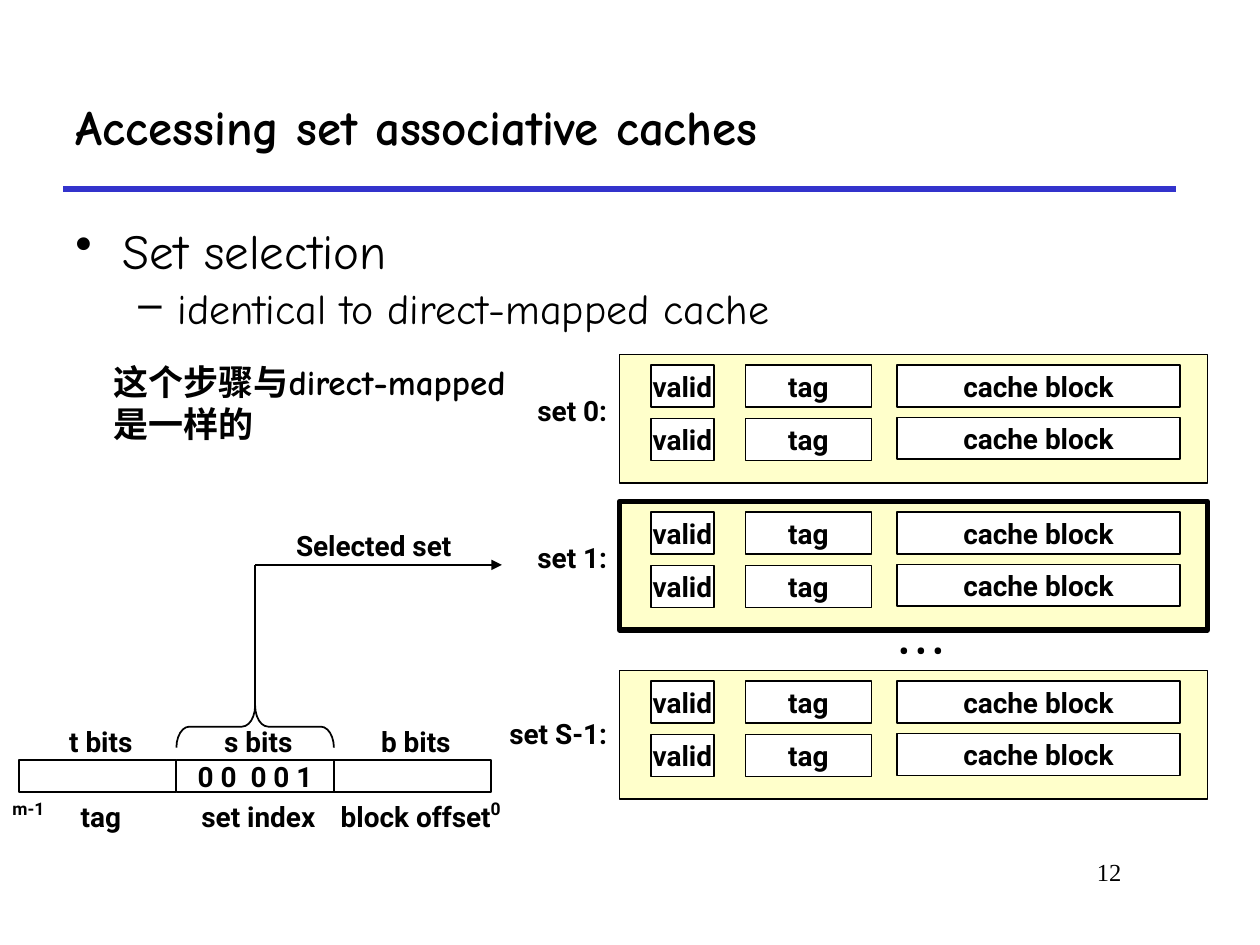
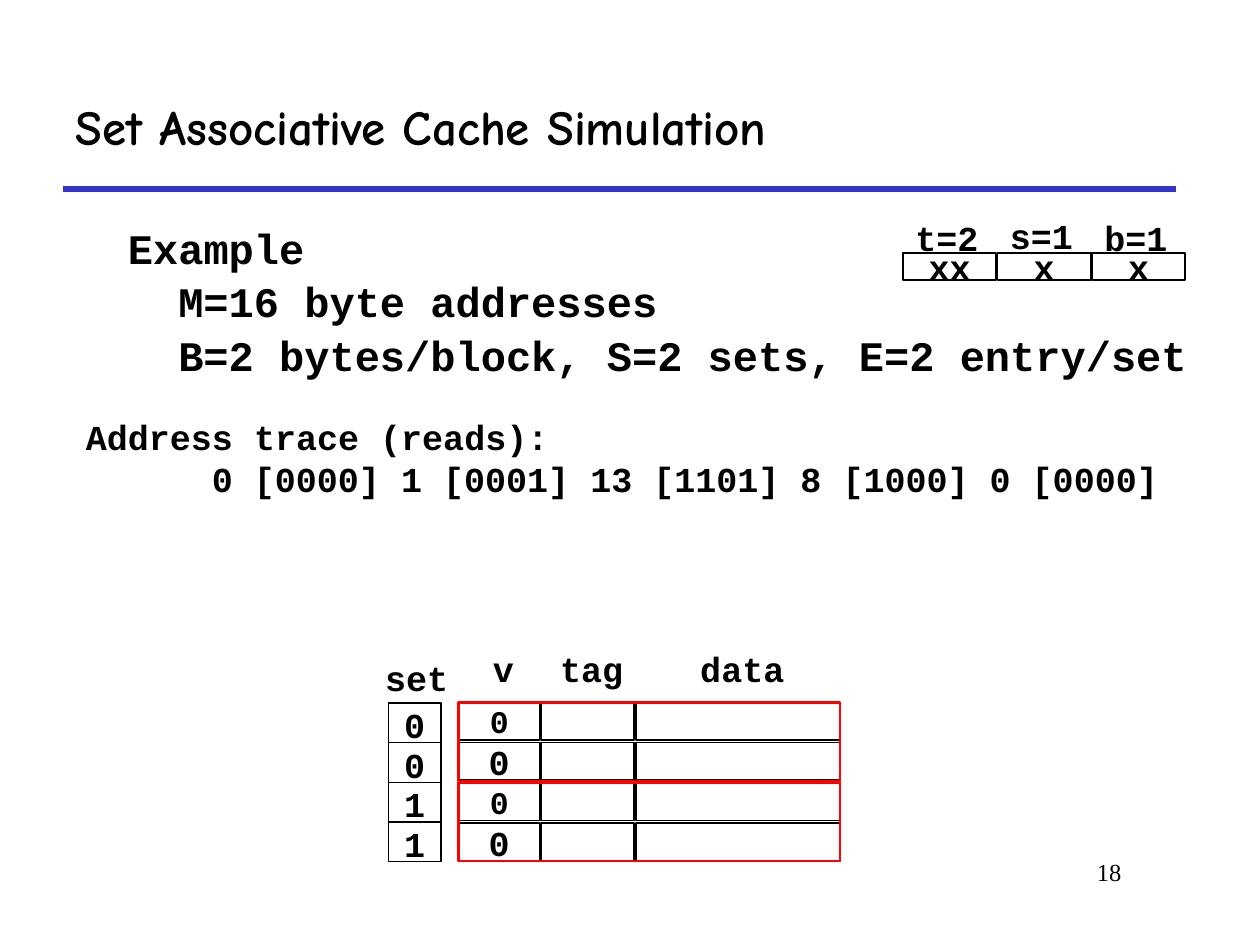
from lxml import etree
from pptx import Presentation
from pptx import util as u
from pptx.dml import color
from pptx.enum import shapes, text
from pptx.oxml import ns

COLS, ROWS = 120, 90
INK, PAPER, RULE, CREAM, RED = "000000", "FFFFFF", "3333CC", "FFFF99", "FF0000"
HAND, SANS, MONO, SERIF = "Comic Neue", "Roboto", "Courier New", "Times New Roman"
ALIGN = {"l": text.PP_ALIGN.LEFT, "c": text.PP_ALIGN.CENTER, "r": text.PP_ALIGN.RIGHT}
ANCHOR = {"t": text.MSO_ANCHOR.TOP, "m": text.MSO_ANCHOR.MIDDLE}
SHAPE = shapes.MSO_SHAPE


def rgb(code):
    """Turn a hex string into a colour."""
    return color.RGBColor.from_string(code)


def cell(n):
    """Turn grid cells (twelve to the inch) into a length."""
    return u.Inches(n / 12)


def add(parent, tag, **attrs):
    """Append a drawing element with attributes."""
    node = etree.SubElement(parent, ns.qn(tag))
    for key, val in attrs.items():
        node.set(key, str(val))
    return node


def write(shape, words, font=SANS, size=16, bold=True, align="l", anchor="t",
          wrap=False, gap=0, lead=None, indents=()):
    """Fill a shape with one paragraph per line of text."""
    frame = shape.text_frame
    frame.word_wrap = wrap
    frame.auto_size = text.MSO_AUTO_SIZE.NONE
    frame.vertical_anchor = ANCHOR[anchor]
    for i, line in enumerate(words.split("\n")):
        para = frame.paragraphs[0] if i == 0 else frame.add_paragraph()
        para.text = line
        para.alignment = ALIGN[align]
        para.space_before = u.Pt(gap if i else 0)
        if lead:
            para.line_spacing = lead
        if i < len(indents):
            para._p.get_or_add_pPr().set("marL", str(cell(indents[i])))
        para.font.name, para.font.size, para.font.bold = font, u.Pt(size), bold
        para.font.color.rgb = rgb(INK)
    return frame


def label(slide, box, words, **form):
    """Add a text box."""
    shape = slide.shapes.add_textbox(*map(cell, box))
    return write(shape, words, **form)


def block(slide, box, words="", fill=PAPER, line=INK, width=1, kind=SHAPE.RECTANGLE, **form):
    """Add a preset shape, with centred text if there is any."""
    shape = slide.shapes.add_shape(kind, *map(cell, box))
    shape.shadow.inherit = False
    if fill:
        shape.fill.solid()
        shape.fill.fore_color.rgb = rgb(fill)
    else:
        shape.fill.background()
    shape.line.color.rgb, shape.line.width = rgb(line), u.Pt(width)
    if words:
        write(shape, words, align="c", anchor="m", **form)
    return shape


def link(slide, x1, y1, x2, y2, hue=INK, width=1, head=False):
    """Add a straight line, with an arrowhead on request."""
    line = slide.shapes.add_connector(shapes.MSO_CONNECTOR.STRAIGHT, *map(cell, (x1, y1, x2, y2)))
    line.line.color.rgb, line.line.width = rgb(hue), u.Pt(width)
    if head:
        add(line.line._get_or_add_ln(), "a:tailEnd", type="triangle")
    add(line._element.spPr, "a:effectLst")
    return line


def page(deck, title, number):
    """Add a slide with the shared title, rule and page number."""
    slide = deck.slides.add_slide(deck.slide_layouts[5])
    head = slide.shapes.title
    head.left, head.top, head.width, head.height = map(cell, (6, 6, 106, 12))
    write(head, title, font=HAND, size=28, anchor="m", wrap=True)
    link(slide, 6, 18, 112, 18, hue=RULE, width=3)
    label(slide, (91, 81, 17, 6), number, font=SERIF, size=14, bold=False, align="r", wrap=True)
    return slide


def points(slide, box):
    """Add the two bulleted lines."""
    frame = label(slide, box, "Set selection\nidentical to direct-mapped cache",
                  font=HAND, size=28, bold=False, wrap=True, gap=4.8, lead=0.9)
    for para, mark, left, hang in zip(frame.paragraphs, "•–", (4.5, 9.75), (4.5, 3.75)):
        props = para._p.get_or_add_pPr()
        props.set("marL", str(cell(left)))
        props.set("indent", str(-cell(hang)))
        bullet = add(props, "a:buChar", char=mark)
        props.remove(bullet)
        props.insert_element_before(bullet, "a:tabLst", "a:defRPr", "a:extLst")
    frame.paragraphs[1].font.size = u.Pt(24)


def lines(slide, box, name, drop, width):
    """Draw one cache set holding two lines."""
    x, y, w, h = box
    back = block(slide, box, fill=CREAM, width=width)
    hue = back._element.spPr.find(ns.qn("a:solidFill"))[0]
    add(hue, "a:alpha", val=50000)
    for words, dx, wide, step in (("valid", 3, 6, 5.1), ("tag", 12, 12, 5.1),
                                  ("cache block", 26.4, 27, 5)):
        for row in range(2):
            block(slide, (x + dx, y + 1 + row * step, wide, 4), words)
    label(slide, (x - 13, y + drop, 13, 4.4), name, align="r", anchor="m")


def address(slide, box):
    """Draw the split address with labels and the arrow to its set."""
    x, y, w, h = box
    wide = w / 3
    parts = (("t bits", "", "tag"), ("s bits", "0 0  0 0 1", "set index"),
             ("b bits", "", "block offset"))
    for i, (bits, value, name) in enumerate(parts):
        left = x + i * wide
        block(slide, (left, y, wide, h), value, fill=None)
        label(slide, (left + 0.3, y - 4, wide, 4.3), bits, align="c")
        label(slide, (left + 0.3, y + 3.2, wide, 4.3), name, align="c")
    label(slide, (x - 1.8, y + h, 5.4, 3.2), "m-1", size=10, align="c", anchor="m", wrap=True)
    label(slide, (x + w - 1.3, y + h, 3.4, 3.2), "0", size=10, align="c", anchor="m")
    mid, turn = x + w / 2, y - 18.6
    brace = block(slide, (mid - 2, y - 10.7, 4, wide), fill=None, kind=SHAPE.RIGHT_BRACE)
    brace.rotation = 270
    brace.adjustments[0] = 0.31
    link(slide, mid, y - 4.7, mid, turn)
    link(slide, mid, turn, mid + 23.5, turn, head=True)
    label(slide, (mid + 2.3, turn - 4.1, 18, 4.4), "Selected set", align="c", anchor="m")


def fields(slide, box):
    """Draw the three address fields with their bit counts."""
    x, y, w, h = box
    for i, (bits, mask) in enumerate((("t=2", "xx"), ("s=1", "x"), ("b=1", "x"))):
        left = x + i * w / 3
        block(slide, (left, y, w / 3 - 0.1, h), mask, font=MONO, size=20)
        label(slide, (left, y - 4.1 - 0.2 * (i == 1), 8.4, 5.2), bits, font=MONO, size=20)


def store(slide, box):
    """Draw the empty cache: four lines framed as two sets."""
    x, y, w, h = box
    cols = (("v", 0, 7.7), ("tag", 7.8, 8.9), ("data", 16.9, 19.4))
    for name, dx, wide in cols:
        for row in range(4):
            block(slide, (x + dx, y + row * 3.83, wide, 3.6), "0" if name == "v" else "",
                  font=MONO, size=20 if row % 2 else 18)
        label(slide, (x + dx + 0.4, y - 5.8, wide, 5.2), name, font=MONO, size=20, align="c")
    for half in range(2):
        block(slide, (x, y + half * h / 2, w, h / 2 - 0.1), fill=None, line=RED, width=1.5)


def index(slide, box):
    """Draw the column of set numbers."""
    x, y, w, h = box
    frame = block(slide, box, fill=None, width=0.75)
    step = h / 4
    for row, name in enumerate("0011"):
        if row:
            rule = link(slide, x, y + row * step, x + w, y + row * step, width=0.75)
            if row == 2:
                rule.begin_connect(frame, 1)
                rule.end_connect(frame, 3)
        label(slide, (x, y - 0.55 + row * step, w, 6.6), name, font=MONO, size=20, align="c")
    label(slide, (x - 1.5, y - 5, 8.5, 5.3), "set", font=MONO, size=20)


def access(deck):
    """Build the slide on set selection."""
    slide = page(deck, "Accessing set associative caches", "12")
    points(slide, (6, 21, 109, 12))
    for name, y, drop, width in (("set 0:", 33.75, 3.1, 1), ("set 1:", 47.75, 3.1, 3),
                                 ("set S-1:", 63.85, 3.8, 1)):
        lines(slide, (59, y, 56, 12.25), name, drop, width)
    label(slide, (83.2, 59.9, 9, 4), "• • •", align="c", anchor="m")
    address(slide, (1.8, 72.4, 45, 3))
    label(slide, (9.6, 33.75, 42.6, 9.2), "这个步骤与direct-mapped\n是一样的", font=HAND, size=20)


def trial(deck):
    """Build the slide on the cache simulation."""
    slide = page(deck, "Set Associative Cache Simulation", "18")
    label(slide, (11, 20.6, 104, 16),
          "Example\nM=16 byte addresses\nB=2 bytes/block, S=2 sets, E=2 entry/set",
          font=MONO, size=24, wrap=True, gap=1.7, indents=(0, 4.8, 4.8))
    label(slide, (7, 39, 109, 9.2),
          "Address trace (reads):\n0 [0000] 1 [0001] 13 [1101] 8 [1000] 0 [0000]",
          font=MONO, size=20, wrap=True, indents=(0, 12))
    fields(slide, (86, 24.1, 27, 2.6))
    store(slide, (43.7, 66.9, 36.3, 15.2))
    index(slide, (37, 66.95, 5, 15.1))


def main():
    """Build and save the deck."""
    deck = Presentation()
    deck.slide_width, deck.slide_height = cell(COLS), cell(ROWS)
    access(deck)
    trial(deck)
    deck.save("out.pptx")


if __name__ == "__main__":
    main()
